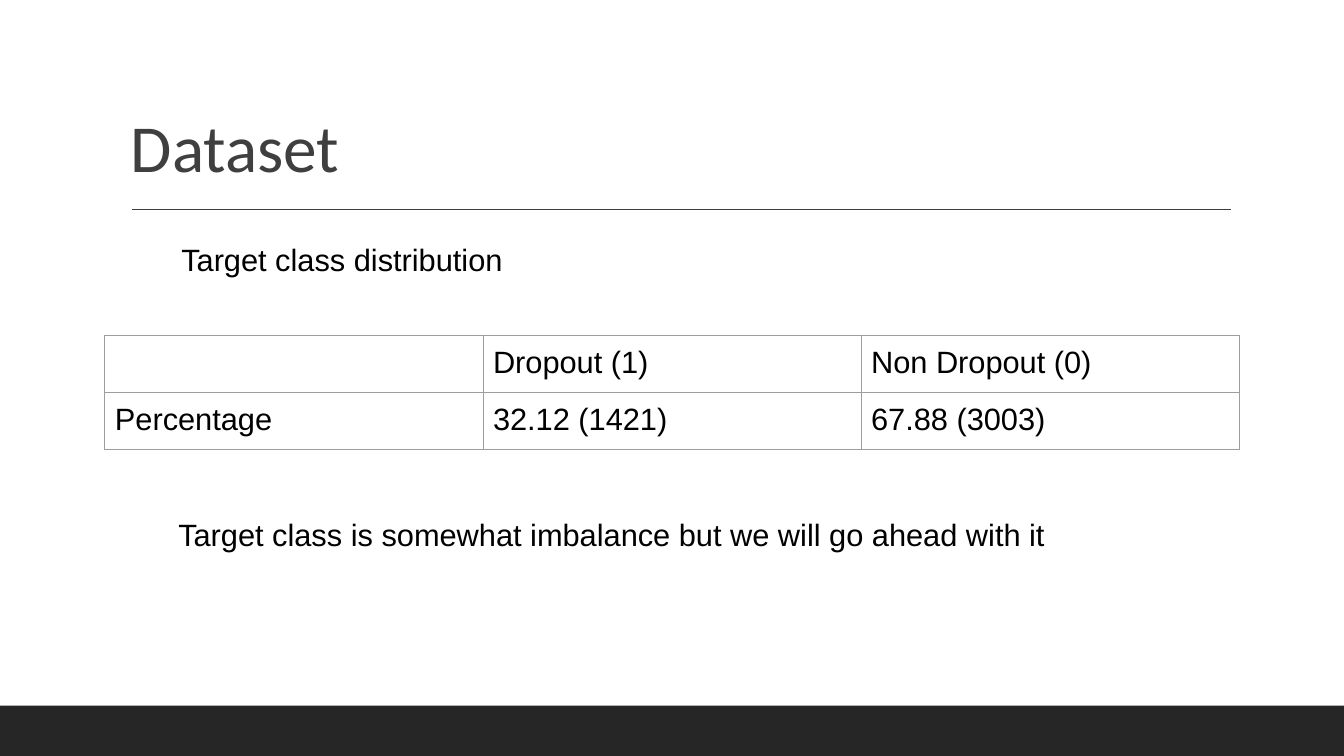
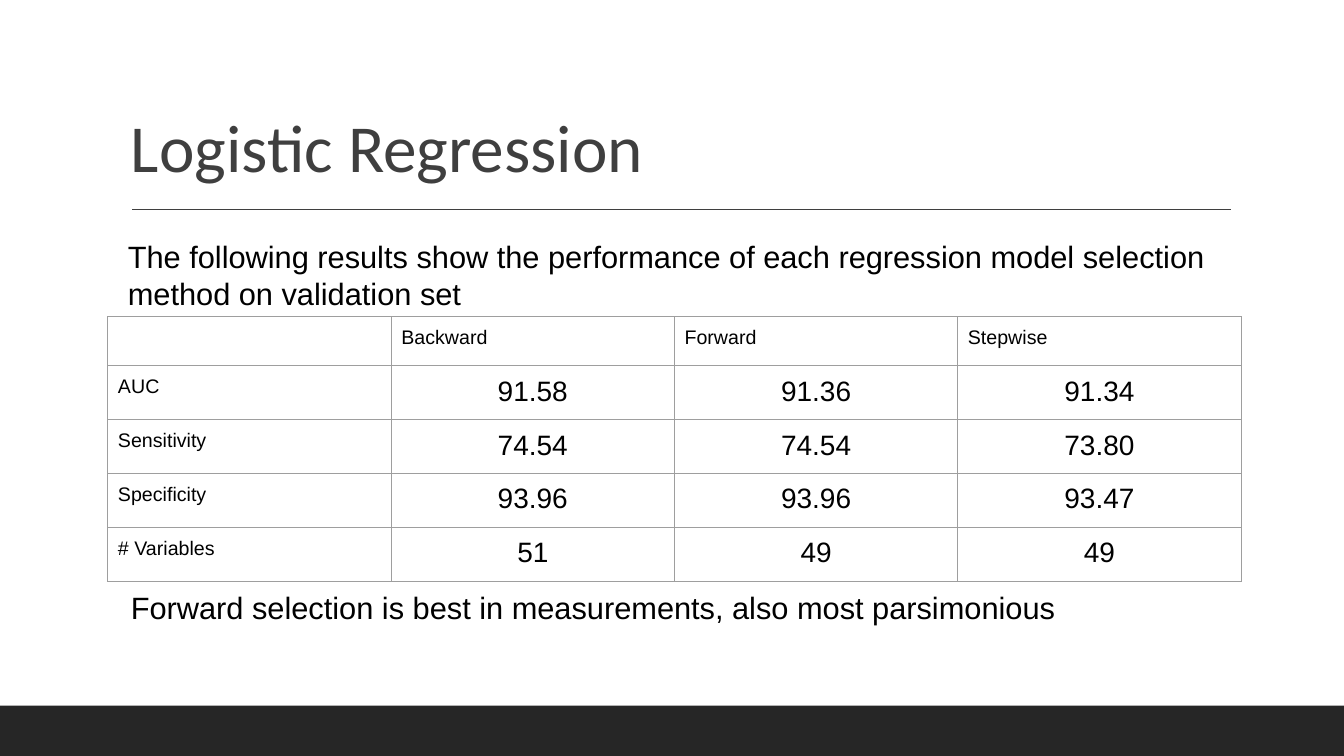
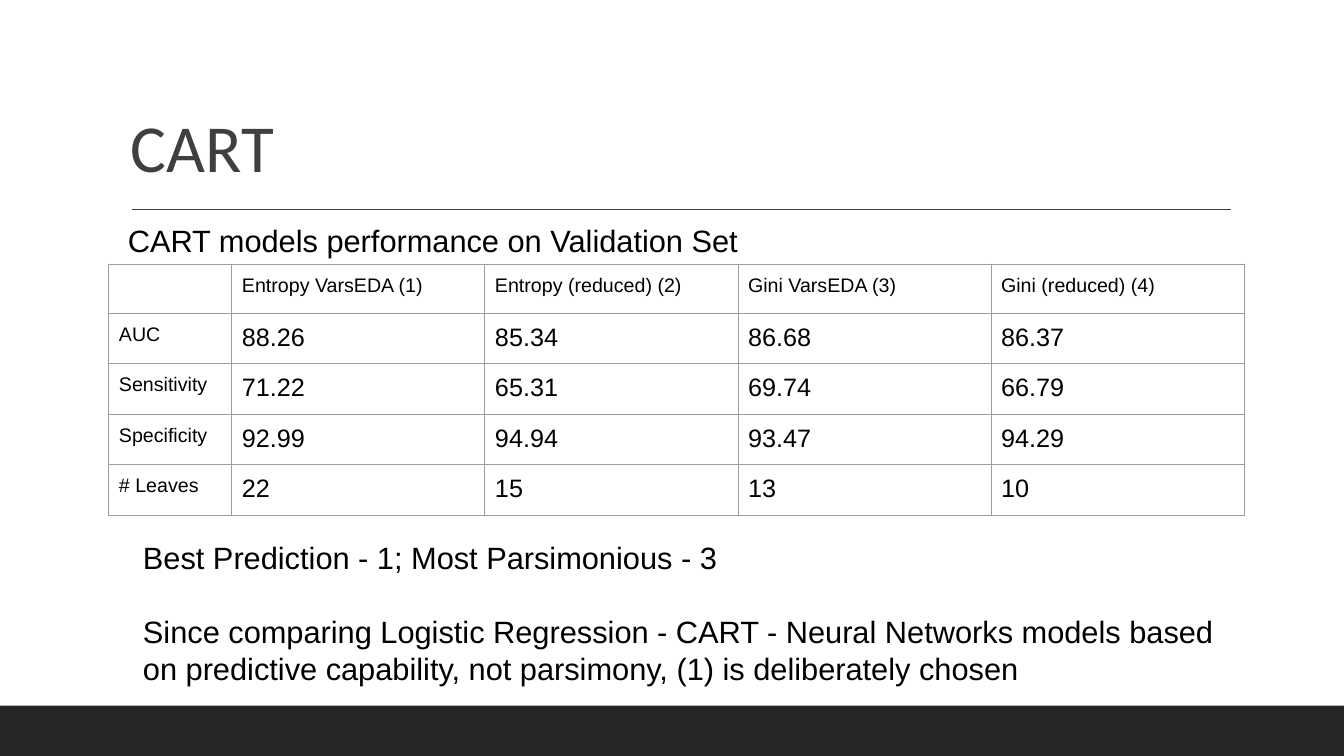
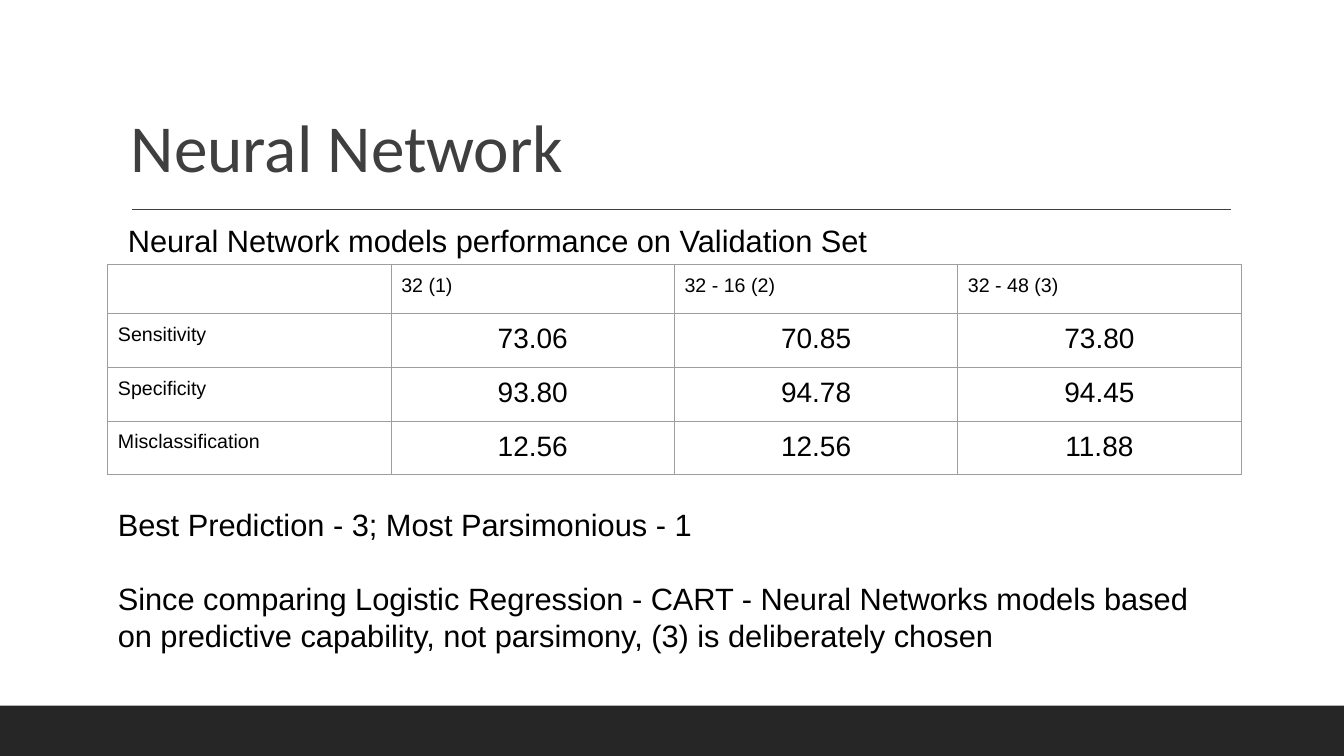
from lxml import etree
from pptx import Presentation
from pptx.dml.color import RGBColor
from pptx.enum.shapes import MSO_CONNECTOR, MSO_SHAPE
from pptx.enum.text import MSO_ANCHOR, PP_ALIGN
from pptx.oxml import parse_xml
from pptx.oxml.ns import nsdecls, qn
from pptx.util import Inches, Pt

DARK, GREY, BLACK, BORDER = "262626", "3F3F3F", "000000", "9E9E9E"
TITLE_FONT = {"name": "Calibri", "size": Pt(48), "color": GREY}
NOTE_FONT = {"name": "Arial", "size": Pt(22), "color": BLACK}
TITLE_FORMAT = {"line_spacing": 0.9}
NOTE_FORMAT = {"space_after": Pt(26)}
INDENTED_FORMAT = {"line_spacing": 1.08, "space_after": Pt(8), "indent": 0.5}
COMPARISON = ("Since comparing Logistic Regression - CART - Neural Networks models based "
              "on predictive capability, not parsimony, ({}) is deliberately chosen")

# A note is (left, top, width, height), paragraph texts, paragraph format.
SLIDES = [
    {
        "title": "Dataset",
        "at": (1.04, 3.33), "columns": [3.75] * 3, "heights": (0.54, 0.54),
        "sizes": (22, 22), "align": PP_ALIGN.LEFT,
        "rows": [
            ["", "Dropout (1)", "Non Dropout (0)"],
            ["Percentage", "32.12 (1421)", "67.88 (3003)"],
        ],
        "notes": [
            ((1.2, 2.31, 11, 0.64), ["Target class distribution"], INDENTED_FORMAT),
            ((1.17, 5.04, 11, 0.64),
             ["Target class is somewhat imbalance but we will go ahead with it"], INDENTED_FORMAT),
        ],
    },
    {
        "title": "Logistic Regression",
        "at": (1.07, 3.14), "columns": [2.81] * 4, "heights": (0.49, 0.51),
        "sizes": (14, 20), "align": PP_ALIGN.CENTER,
        "rows": [
            ["", "Backward", "Forward", "Stepwise"],
            ["AUC", "91.58", "91.36", "91.34"],
            ["Sensitivity", "74.54", "74.54", "73.80"],
            ["Specificity", "93.96", "93.96", "93.47"],
            ["# Variables", "51", "49", "49"],
        ],
        "notes": [
            ((1.17, 2.31, 11, 0.84),
             ["The following results show the performance of each regression model selection "
              "method on validation set"], NOTE_FORMAT),
            ((1.2, 5.79, 11, 0.47),
             ["Forward selection is best in measurements, also most parsimonious"], NOTE_FORMAT),
        ],
    },
    {
        "title": "CART",
        "at": (1.08, 2.62), "columns": [1.22] + [2.51] * 4, "heights": (0.49, 0.48),
        "sizes": (14, 18), "align": PP_ALIGN.LEFT,
        "rows": [
            ["", "Entropy VarsEDA (1)", "Entropy (reduced) (2)", "Gini VarsEDA (3)",
             "Gini (reduced) (4)"],
            ["AUC", "88.26", "85.34", "86.68", "86.37"],
            ["Sensitivity", "71.22", "65.31", "69.74", "66.79"],
            ["Specificity", "92.99", "94.94", "93.47", "94.29"],
            ["# Leaves", "22", "15", "13", "10"],
        ],
        "notes": [
            ((1.17, 2.15, 6.58, 0.47), ["CART models performance on Validation Set"], NOTE_FORMAT),
            ((1.32, 5.3, 11, 1.95),
             ["Best Prediction - 1; Most Parsimonious - 3", COMPARISON.format(1)], NOTE_FORMAT),
        ],
    },
    {
        "title": "Neural Network",
        "at": (1.07, 2.62), "columns": [2.81] * 4, "heights": (0.49, 0.51),
        "sizes": (14, 20), "align": PP_ALIGN.CENTER,
        "rows": [
            ["", "32 (1)", "32 - 16 (2)", "32 - 48 (3)"],
            ["Sensitivity", "73.06", "70.85", "73.80"],
            ["Specificity", "93.80", "94.78", "94.45"],
            ["Misclassification", "12.56", "12.56", "11.88"],
        ],
        "notes": [
            ((1.17, 2.15, 8.96, 0.47), ["Neural Network models performance on Validation Set"],
             NOTE_FORMAT),
            ((1.07, 4.97, 11, 1.95),
             ["Best Prediction - 3; Most Parsimonious - 1", COMPARISON.format(3)], NOTE_FORMAT),
        ],
    },
]


def write(paragraph, text, font, layout):
    """Add one run and apply the font and paragraph format values."""
    run = paragraph.add_run()
    run.text = text
    for name, value in font.items():
        if name == "color":
            run.font.color.rgb = RGBColor.from_string(value)
        else:
            setattr(run.font, name, value)
    for name, value in layout.items():
        if name == "indent":
            properties = paragraph._p.get_or_add_pPr()
            properties.set("marL", str(Inches(value)))
            properties.set("indent", "0")
        else:
            setattr(paragraph, name, value)


def add_text(slide, box, texts, font, layout, anchor=MSO_ANCHOR.TOP):
    frame = slide.shapes.add_textbox(*map(Inches, box)).text_frame
    frame.word_wrap = True
    frame.vertical_anchor = anchor
    for index, text in enumerate(texts):
        paragraph = frame.add_paragraph() if index else frame.paragraphs[0]
        write(paragraph, text, font, layout)


presentation = Presentation()
presentation.slide_width, presentation.slide_height = Inches(13.33), Inches(7.5)

for content in SLIDES:
    slide = presentation.slides.add_slide(presentation.slide_layouts[6])

    band = slide.shapes.add_shape(MSO_SHAPE.RECTANGLE, 0, Inches(7), Inches(13.33), Inches(0.5))
    band.shadow.inherit = False
    band.fill.solid()
    band.fill.fore_color.rgb = RGBColor.from_string(DARK)
    band.line.fill.background()

    rule = slide.shapes.add_connector(
        MSO_CONNECTOR.STRAIGHT, Inches(1.31), Inches(2.08), Inches(12.21), Inches(2.08))
    rule.line.color.rgb = RGBColor.from_string(GREY)
    rule.line.width = Pt(1)
    etree.SubElement(rule._element.spPr, qn("a:effectLst"))

    add_text(slide, (1.2, 0.31, 11, 1.59), [content["title"]], TITLE_FONT, TITLE_FORMAT,
             MSO_ANCHOR.BOTTOM)

    rows, columns = content["rows"], content["columns"]
    header_height, body_height = content["heights"]
    label_size, value_size = content["sizes"]
    heights = [header_height] + [body_height] * (len(rows) - 1)
    left, top = content["at"]
    table = slide.shapes.add_table(
        len(rows), len(columns), Inches(left), Inches(top),
        Inches(sum(columns)), Inches(sum(heights))).table
    table.first_row = table.horz_banding = False
    for column, width in zip(table.columns, columns):
        column.width = Inches(width)
    for row_index, (row, height) in enumerate(zip(table.rows, heights)):
        row.height = Inches(height)
        for column_index, cell in enumerate(row.cells):
            for side in ("left", "top", "right", "bottom"):
                setattr(cell, f"margin_{side}", Inches(0.1))
            properties = cell._tc.get_or_add_tcPr()
            for edge in "LRTB":
                properties.append(parse_xml(
                    f'<a:ln{edge} {nsdecls("a")} w="{Pt(0.75)}"><a:solidFill>'
                    f'<a:srgbClr val="{BORDER}"/></a:solidFill></a:ln{edge}>'))
            cell.fill.background()

            paragraph = cell.text_frame.paragraphs[0]
            text = rows[row_index][column_index]
            is_value = row_index > 0 and column_index > 0
            size = value_size if is_value else label_size
            if text:
                write(paragraph, text, {**NOTE_FONT, "size": Pt(size)},
                      {"alignment": content["align"] if is_value else PP_ALIGN.LEFT})
            else:
                paragraph._p.get_or_add_endParaRPr().set("sz", str(label_size * 100))

    for box, texts, layout in content["notes"]:
        add_text(slide, box, texts, NOTE_FONT, layout)

presentation.save("out.pptx")
